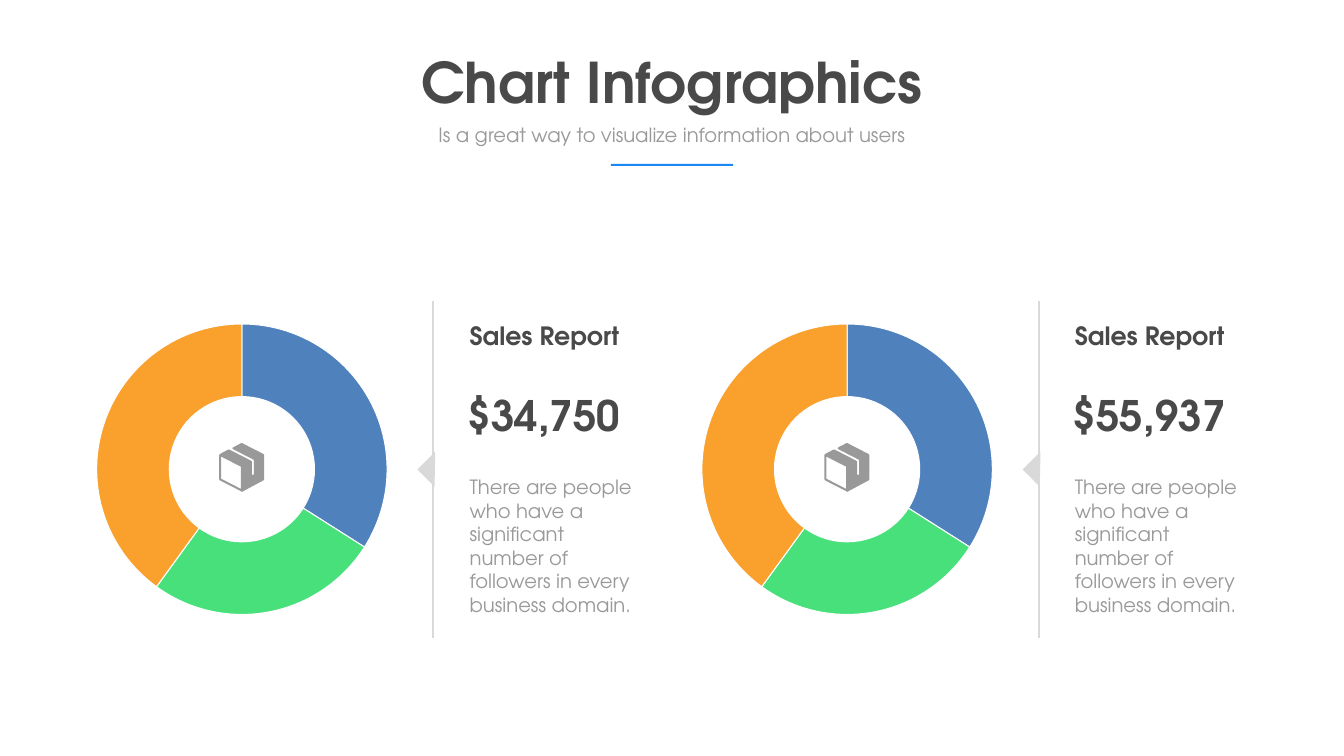
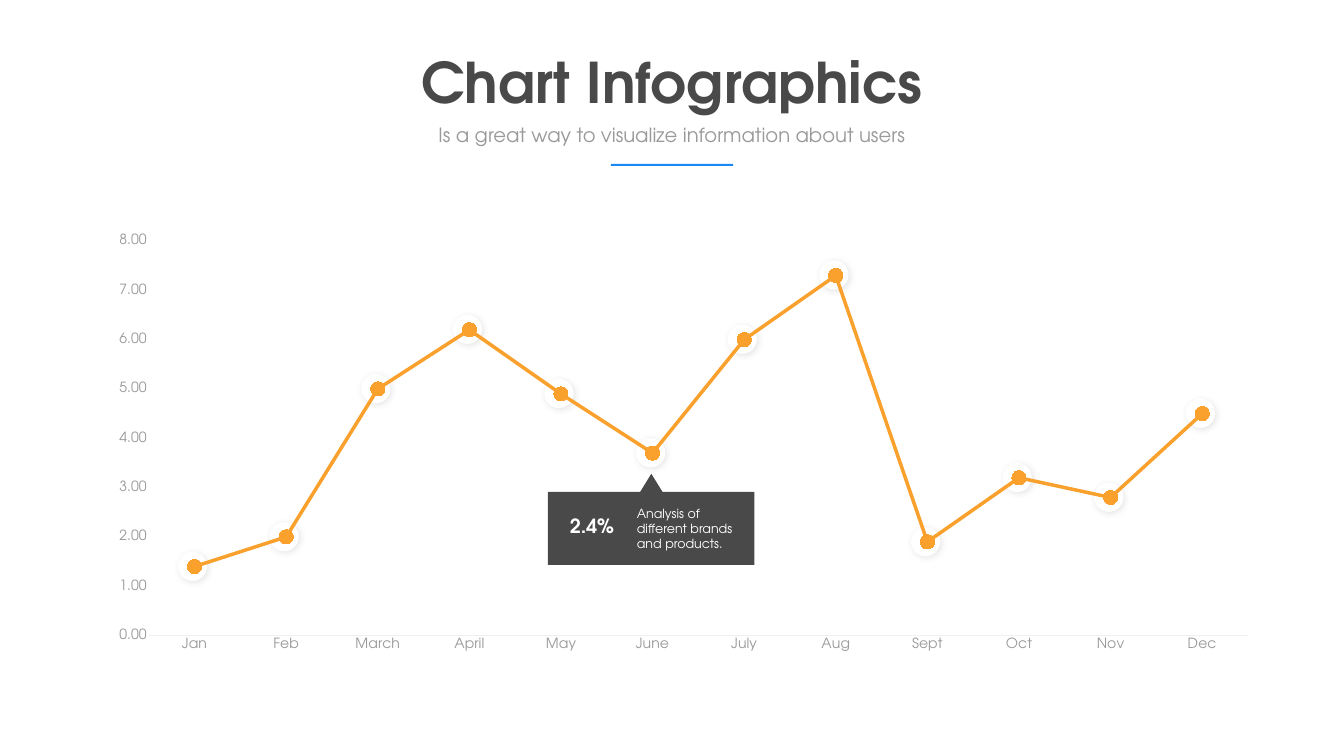
from dataclasses import dataclass

from lxml import etree
from pptx import Presentation
from pptx.chart.data import CategoryChartData
from pptx.dml.color import RGBColor
from pptx.enum.chart import XL_CHART_TYPE as ChartType
from pptx.enum.chart import XL_MARKER_STYLE as Marker
from pptx.enum.chart import XL_TICK_MARK as TickMark
from pptx.enum.shapes import MSO_CONNECTOR as Connector
from pptx.enum.shapes import MSO_SHAPE as Preset
from pptx.enum.text import MSO_ANCHOR as Anchor
from pptx.enum.text import MSO_AUTO_SIZE as AutoSize
from pptx.enum.text import PP_ALIGN as Align
from pptx.oxml import parse_xml
from pptx.oxml.ns import nsdecls, qn
from pptx.util import Inches, Pt


@dataclass(frozen=True)
class Theme:
    dark: RGBColor = RGBColor.from_string("494949")
    gray: RGBColor = RGBColor.from_string("999999")
    rule: RGBColor = RGBColor.from_string("D9D9D9")
    axis: RGBColor = RGBColor.from_string("F0F0F0")
    white: RGBColor = RGBColor.from_string("FFFFFF")
    blue: RGBColor = RGBColor.from_string("1988F5")
    green: RGBColor = RGBColor.from_string("48E07B")
    orange: RGBColor = RGBColor.from_string("F9A02D")
    font: str = "TeX Gyre Adventor"
    chart_font: str = "Calibri"
    title: int = 80
    amount: int = 60
    heading: int = 36
    body: int = 28
    axis_label: int = 20
    note: int = 18
    chart_text: int = 10


theme = Theme()


def add_text(slide, box, text, size, color, bold=False, align=Align.LEFT):
    frame = slide.shapes.add_textbox(*map(Inches, box)).text_frame
    frame.word_wrap = True
    frame.auto_size = AutoSize.SHAPE_TO_FIT_TEXT
    frame.text = text
    paragraph = frame.paragraphs[0]
    paragraph.alignment = align
    font = paragraph.runs[0].font
    font.name, font.size, font.bold = theme.font, Pt(size), bold
    font.color.rgb = color
    return frame


def add_block(slide, preset, box, color, rotation=0):
    shape = slide.shapes.add_shape(preset, *map(Inches, box))
    shape.shadow.inherit = False
    shape.fill.solid()
    shape.fill.fore_color.rgb = color
    shape.line.fill.background()
    shape.rotation = rotation
    return shape


presentation = Presentation()
presentation.slide_width = Inches(26.67)
presentation.slide_height = Inches(15)
blank = presentation.slide_layouts[6]
report_slide = presentation.slides.add_slide(blank)
trend_slide = presentation.slides.add_slide(blank)

# Trend: halos behind the points of the line chart
months = ["Jan", "Feb", "March", "April", "May", "June",
          "July", "Aug", "Sept", "Oct", "Nov", "Dec"]
values = [1.4, 2, 5, 6.2, 4.9, 3.7, 6, 7.3, 1.9, 3.2, 2.8, 4.5]
halo_size = 0.58
month_step = 21.82 / len(months)
plot_bottom, unit_height = 12.61, 0.98
for index, value in reversed(list(enumerate(values))):
    left = 3.53 + index * month_step
    top = plot_bottom - value * unit_height - halo_size / 2
    halo = add_block(trend_slide, Preset.OVAL, (left, top, halo_size, halo_size), theme.white)
    effects = halo._element.spPr.find(qn("a:effectLst"))
    effects.append(parse_xml(
        f'<a:outerShdw {nsdecls("a")} blurRad="{Pt(10)}" dist="{Pt(3)}" dir="2700000" '
        'algn="tl" rotWithShape="0"><a:srgbClr val="000000"><a:alpha val="10000"/>'
        '</a:srgbClr></a:outerShdw>'))

# Shared header
for slide in (report_slide, trend_slide):
    add_text(slide, (6.88, 0.9, 12.91, 1.45), "Chart Infographics",
             theme.title, theme.dark, True, Align.CENTER)
    add_text(slide, (8.55, 2.38, 9.56, 0.57),
             "Is a great way to visualize information about users",
             theme.body, theme.gray, align=Align.CENTER)
    add_block(slide, Preset.RECTANGLE, (12.12, 3.25, 2.43, 0.04), theme.blue)

# Reports: package icon outline in hundredths of an inch, then its open face
package_outline = [
    (88, 22), (45, 0), (44, 0), (27, 9), (26, 10), (27, 12), (68, 33), (69, 35),
    (69, 62), (67, 64), (65, 62), (65, 37), (63, 35), (20, 13), (18, 13), (1, 22),
    (0, 24), (0, 72), (1, 74), (44, 96), (45, 97), (88, 74), (89, 72), (89, 24)]
package_face = [(43, 91), (4, 71), (4, 27), (43, 47)]

# Reports: a doughnut, a divider and the figures in each panel
panel_step = 12.01
for index, amount in enumerate(["$34,750", "$55,937"]):
    offset = index * panel_step
    divider_x = Inches(8.6 + offset)
    divider = report_slide.shapes.add_connector(
        Connector.STRAIGHT, divider_x, Inches(5.97), divider_x, Inches(12.65))
    divider.line.color.rgb = theme.rule
    divider.line.width = Pt(3)
    etree.SubElement(divider._element.spPr, qn("a:effectLst"))
    add_block(report_slide, Preset.RIGHT_TRIANGLE, (8.39 + offset, 9.06, 0.48, 0.5),
              theme.rule, 45)

    sales = CategoryChartData()
    sales.categories = ["1", "2", "3"]
    sales.add_series("Series 1", [34, 26, 40])
    doughnut = report_slide.shapes.add_chart(
        ChartType.DOUGHNUT, Inches(1.31 + offset), Inches(6.29),
        Inches(6.98), Inches(6.04), sales).chart
    doughnut.has_legend = doughnut.has_title = False
    doughnut.font.name = theme.chart_font
    doughnut.font.size = Pt(theme.chart_text)
    doughnut.font.color.rgb = theme.gray
    plot = doughnut.plots[0]
    plot.vary_by_categories = True
    plot._element.find(qn("c:holeSize")).set("val", "75")
    series = plot.series[0]
    slices = [(series, theme.blue), (series.points[1], theme.green),
              (series.points[2], theme.orange)]
    for part, color in slices:
        part.format.fill.solid()
        part.format.fill.fore_color.rgb = color
        part.format.line.color.rgb = theme.white
        part.format.line.width = Pt(1.5)

    add_text(report_slide, (9.22 + offset, 6.31, 3.7, 0.71), "Sales Report",
             theme.heading, theme.dark, True)
    frame = add_text(report_slide, (9.22 + offset, 7.66, 3.7, 1.12), amount,
                     theme.amount, theme.dark, True)
    frame.vertical_anchor = Anchor.MIDDLE
    frame.margin_left = frame.margin_right = Inches(0.06)
    frame.margin_top = frame.margin_bottom = Inches(0.06)
    add_text(report_slide, (9.22 + offset, 9.38, 3.48, 2.93),
             "There are people who have a significant number of followers "
             "in every business domain.", theme.body, theme.gray)

    builder = report_slide.shapes.build_freeform(*package_outline[0], scale=Inches(0.01))
    builder.add_line_segments(package_outline[1:], close=True)
    builder.move_to(*package_face[0])
    builder.add_line_segments(package_face[1:], close=True)
    package = builder.convert_to_shape(Inches(4.35 + offset), Inches(8.79))
    package.shadow.inherit = False
    package.fill.solid()
    package.fill.fore_color.rgb = theme.gray
    package.line.fill.background()

# Trend: line chart
trend = CategoryChartData()
trend.categories = months
trend.add_series("Series 1", values)
chart = trend_slide.shapes.add_chart(
    ChartType.LINE_MARKERS, Inches(1.9), Inches(4.47),
    Inches(22.87), Inches(8.68), trend).chart
chart.has_legend = chart.has_title = False
chart.font.name = theme.font
chart.font.size = Pt(theme.axis_label)
chart.font.color.rgb = theme.gray
chart.plots[0].vary_by_categories = False

for axis in (chart.category_axis, chart.value_axis):
    axis.has_major_gridlines = False
    axis.major_tick_mark = axis.minor_tick_mark = TickMark.NONE
    axis.tick_labels.font.name = theme.font
    axis.tick_labels.font.size = Pt(theme.axis_label)
    axis.tick_labels.font.color.rgb = theme.gray
chart.category_axis.format.line.color.rgb = theme.axis
chart.category_axis.format.line.width = Pt(0.75)
chart.value_axis.format.line.fill.background()
chart.value_axis.minimum_scale = 0
chart.value_axis.maximum_scale = 8
chart.value_axis.major_unit = 1
chart.value_axis.tick_labels.number_format = "#,##0.00"
chart.value_axis.tick_labels.number_format_is_linked = False

series = chart.plots[0].series[0]
series.smooth = False
series.format.line.color.rgb = theme.orange
series.format.line.width = Pt(5)
series.marker.style = Marker.CIRCLE
series.marker.size = 20
series.marker.format.fill.solid()
series.marker.format.fill.fore_color.rgb = theme.orange
series.marker.format.line.fill.background()

# Trend: fixed inner plot area
plot_area = chart._chartSpace.chart.plotArea
for old_layout in plot_area.findall(qn("c:layout")):
    plot_area.remove(old_layout)
layout = parse_xml(
    f'<c:layout {nsdecls("c")}><c:manualLayout><c:layoutTarget val="inner"/>'
    '<c:xMode val="edge"/><c:yMode val="edge"/></c:manualLayout></c:layout>')
for tag, share in (("x", 0.046), ("y", 0.036), ("w", 0.954), ("h", 0.902)):
    etree.SubElement(layout[0], qn(f"c:{tag}")).set("val", str(share))
plot_area.insert(0, layout)

# Trend: callout under June
add_block(trend_slide, Preset.RECTANGLE, (10.87, 9.76, 4.1, 1.45), theme.dark)
add_block(trend_slide, Preset.ISOSCELES_TRIANGLE, (12.58, 9.4, 0.69, 0.56), theme.dark)
add_text(trend_slide, (11.21, 10.15, 1.27, 0.57), "2.4%", theme.body, theme.white, True)
add_text(trend_slide, (12.54, 9.98, 2.14, 1.01),
         "Analysis of different brands and products.", theme.note, theme.white)

presentation.save("out.pptx")
